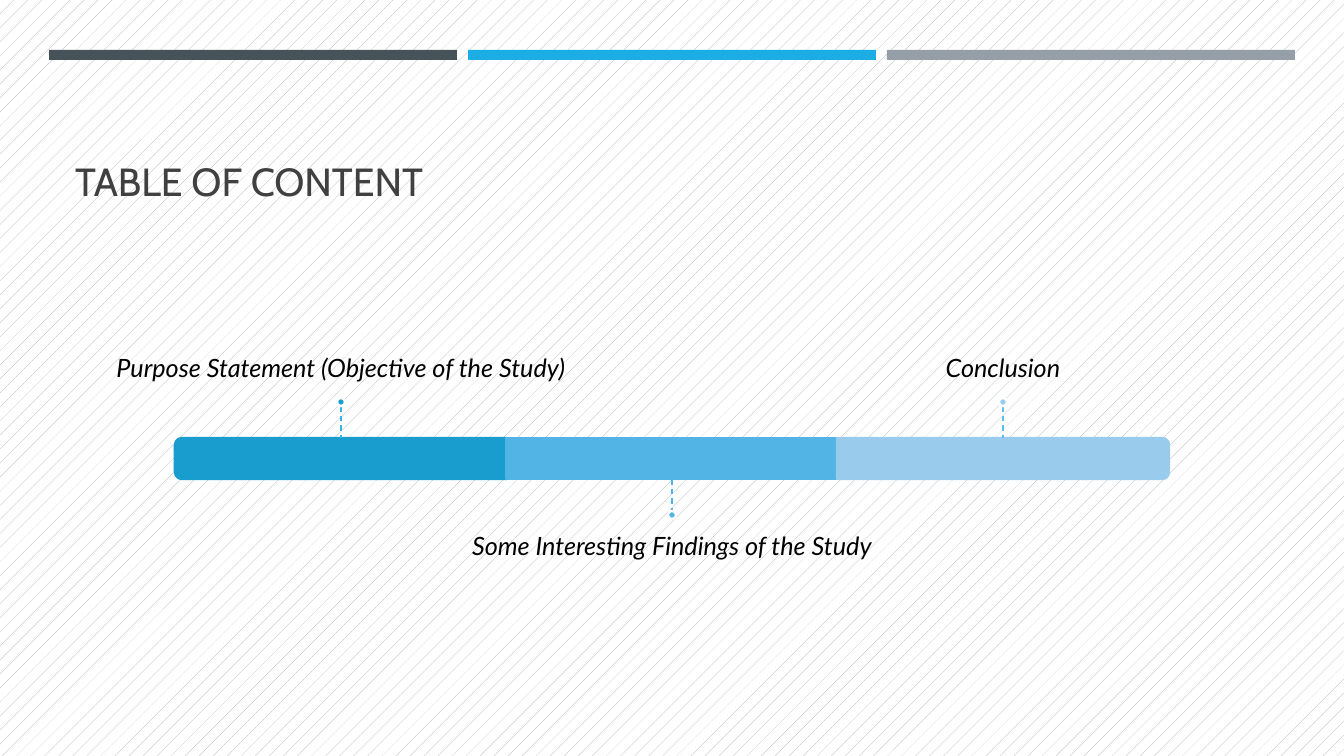
"""Build the table of content slide: a three-part bar with labelled markers."""
from lxml.etree import SubElement
from pptx import Presentation
from pptx.dml.color import RGBColor
from pptx.enum.dml import MSO_LINE, MSO_PATTERN
from pptx.enum.shapes import MSO_CONNECTOR, MSO_SHAPE
from pptx.enum.text import MSO_ANCHOR, MSO_AUTO_SIZE, PP_ALIGN
from pptx.oxml.ns import qn
from pptx.util import Pt

TITLE = "TABLE OF CONTENT"
SECTIONS = [
    ("Purpose Statement (Objective of the Study)", "first", "first_stem", 270),
    ("Some Interesting Findings of the Study", "middle", "middle_stem", None),
    ("Conclusion", "last", "last_stem", 90),
]
STRIPES = ["slate", "blue", "grey"]
COLORS = {
    "slate": "465359", "blue": "1CADE4", "grey": "969FA7",
    "first": "199DCF", "middle": "52B3E5", "last": "99CBEC",
    "first_stem": "36B3E9", "middle_stem": "48B8EC", "last_stem": "5ABEEF",
    "title": "404040", "text": "000000", "white": "FFFFFF", "hatch": "A1ACB2",
}
STRIPE_X, STRIPE_Y, STRIPE_W, STRIPE_H, STRIPE_STEP = 49, 50, 408, 10, 419
BAR_X, BAR_Y, BAR_W, BAR_H = 175, 438, 332, 41
BAR_STEP = 331
STEM, DOT = 32, 8
LABEL_W, LABEL_H, LABEL_GAP = 552, 140, 15


def px(n):
    return round(n * 914400 / 100.8)


def color(name):
    return RGBColor.from_string(COLORS[name])


def add_block(shapes, kind, x, y, w, h, fill, line=None):
    s = shapes.add_shape(kind, px(x), px(y), px(w), px(h))
    s.shadow.inherit = False
    s.fill.solid()
    s.fill.fore_color.rgb = color(fill)
    if line:
        s.line.color.rgb = color(line)
        s.line.width = Pt(1.75)
    else:
        s.line.fill.background()
    return s


def add_text(tf, text, font, size, name, align, anchor):
    tf.word_wrap = True
    tf.auto_size = MSO_AUTO_SIZE.NONE
    tf.vertical_anchor = anchor
    p = tf.paragraphs[0]
    p.alignment = align
    r = p.add_run()
    r.text = text
    r.font.name = font
    r.font.size = Pt(size)
    r.font.color.rgb = color(name)
    return p


def add_section(shapes, i, text, fill, stem, turn):
    x = BAR_X + i * BAR_STEP
    cx, cy = x + BAR_W / 2, BAR_Y + BAR_H / 2
    above = turn is not None
    if above:
        bar = add_block(shapes, MSO_SHAPE.ROUND_2_SAME_RECTANGLE,
                        cx - BAR_H / 2, cy - BAR_W / 2, BAR_H, BAR_W, fill, fill)
        bar.rotation = turn
        edge, tip = BAR_Y, BAR_Y - STEM
        dot_y, label_y = tip - DOT, tip - DOT - LABEL_H
    else:
        bar = add_block(shapes, MSO_SHAPE.RECTANGLE, x, BAR_Y, BAR_W, BAR_H, fill, fill)
        edge, tip = BAR_Y + BAR_H, BAR_Y + BAR_H + STEM
        dot_y, label_y = tip, tip + DOT

    tf = shapes.add_textbox(px(cx - LABEL_W / 2), px(label_y),
                            px(LABEL_W), px(LABEL_H)).text_frame
    tf.margin_left = tf.margin_right = 0
    tf.margin_top = 0 if above else px(LABEL_GAP)
    tf.margin_bottom = px(LABEL_GAP) if above else 0
    p = add_text(tf, text, "Lato", 18, "text", PP_ALIGN.CENTER,
                 MSO_ANCHOR.BOTTOM if above else MSO_ANCHOR.TOP)
    p.line_spacing = 0.9
    p.runs[0].font.italic = True

    start, end = (tip, edge) if above else (edge, tip)
    c = shapes.add_connector(MSO_CONNECTOR.STRAIGHT, px(cx), px(start), px(cx), px(end))
    if not above:
        c.begin_connect(bar, 2)
    c.line.color.rgb = color(stem)
    c.line.width = Pt(1)
    c.line.dash_style = MSO_LINE.DASH
    SubElement(c._element.spPr, qn("a:effectLst"))
    add_block(shapes, MSO_SHAPE.OVAL, cx - DOT / 2, dot_y, DOT, DOT, fill, "white")


def main():
    prs = Presentation()
    prs.slide_width, prs.slide_height = px(1344), px(756)
    slide = prs.slides.add_slide(prs.slide_layouts[5])
    fill = slide.background.fill
    fill.patterned()
    fill.pattern = MSO_PATTERN.PERCENT_5
    fill.fore_color.rgb = color("hatch")
    fill.back_color.rgb = color("white")

    for i, name in enumerate(STRIPES):
        add_block(slide.shapes, MSO_SHAPE.RECTANGLE, STRIPE_X + i * STRIPE_STEP,
                  STRIPE_Y, STRIPE_W, STRIPE_H, name)

    title = slide.shapes.title
    title.left, title.top, title.width, title.height = px(65), px(78), px(1216), px(131)
    add_text(title.text_frame, TITLE, "Cabin", 28, "title", PP_ALIGN.LEFT, MSO_ANCHOR.BOTTOM)

    timeline = slide.shapes.add_group_shape()
    for i, section in enumerate(SECTIONS):
        add_section(timeline.shapes, i, *section)
    prs.save("out.pptx")


if __name__ == "__main__":
    main()
